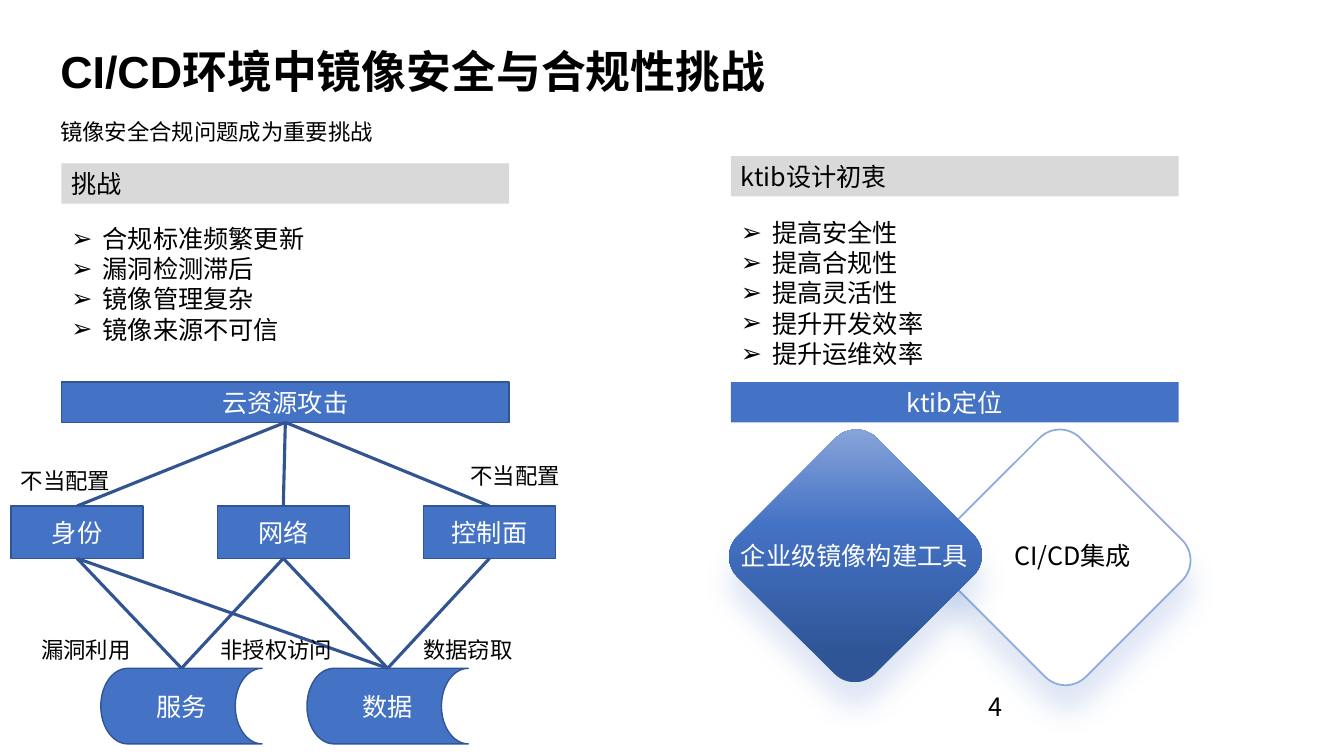
"""Build the slide on image security and compliance challenges in CI/CD."""
from lxml import etree
from pptx import Presentation
from pptx.dml.color import RGBColor
from pptx.enum.shapes import MSO_CONNECTOR, MSO_SHAPE
from pptx.enum.text import MSO_ANCHOR, PP_ALIGN
from pptx.oxml import parse_xml
from pptx.oxml.ns import qn
from pptx.util import Inches, Pt

RECTANGLE = MSO_SHAPE.RECTANGLE
DIAMOND = MSO_SHAPE.ROUNDED_RECTANGLE
STORAGE = MSO_SHAPE.FLOWCHART_STORED_DATA
STRAIGHT = MSO_CONNECTOR.STRAIGHT
MIDDLE = MSO_ANCHOR.MIDDLE
LEFT, CENTER = PP_ALIGN.LEFT, PP_ALIGN.CENTER

COLORS = {
    "black": "000000", "white": "FFFFFF", "gray": "D9D9D9", "blue": "4472C4",
    "navy": "2F5597", "link": "325491", "sky": "8FAADC",
}
CJK_FONT = "Noto Sans CJK SC"
NAMESPACE = 'xmlns:a="http://schemas.openxmlformats.org/drawingml/2006/main"'
CELL = Inches(0.1)

deck = Presentation()
deck.slide_width, deck.slide_height = Inches(13.33), Inches(7.5)
page = deck.slides.add_slide(deck.slide_layouts[6])


def write(box, lines, size=18, color="black", align=LEFT, font=CJK_FONT,
          bold=False, bullet=False, spacing=None):
    frame = box.text_frame
    frame.word_wrap, frame.vertical_anchor = True, MIDDLE
    for index, line in enumerate(lines):
        para = frame.paragraphs[0] if index == 0 else frame.add_paragraph()
        if bullet:
            properties = para._p.get_or_add_pPr()
            properties.set("marL", str(Inches(0.31)))
            properties.set("indent", str(-Inches(0.31)))
            etree.SubElement(properties, qn("a:buFont"), typeface="Arial")
            etree.SubElement(properties, qn("a:buChar"), char="➢")
        para.alignment = align
        para.line_spacing = spacing or Pt(size * 1.2)
        span = para.add_run()
        span.text = line
        for name, value in {"size": Pt(size), "bold": bold, "name": font}.items():
            setattr(span.font, name, value)
        span.font.color.rgb = RGBColor.from_string(COLORS[color])
        latin = span._r.rPr.find(qn("a:latin"))
        latin.addnext(parse_xml(f'<a:ea {NAMESPACE} typeface="{CJK_FONT}"/>'))


def draw(kind, cells, fill, line=None, weight=1):
    shape = page.shapes.add_shape(kind, *(round(CELL * cell) for cell in cells))
    shape.shadow.inherit = False
    shape.fill.solid()
    shape.fill.fore_color.rgb = RGBColor.from_string(COLORS[fill])
    if line:
        shape.line.color.rgb = RGBColor.from_string(COLORS[line])
        shape.line.width = Pt(weight)
    else:
        shape.line.fill.background()
    return shape


diamonds = [
    draw(DIAMOND, (95.4, 45.7, 20, 19.2), "white", "sky", 1.25),
    draw(DIAMOND, (75.2, 45.4, 19.3, 19.5), "blue"),
]
for diamond in diamonds:
    diamond.rotation = 45
    diamond.adjustments[0] = 0.148
    diamond._element.spPr.find(qn("a:effectLst")).append(parse_xml(
        f'<a:outerShdw {NAMESPACE} blurRad="{Pt(19)}" dist="{Pt(18)}" '
        f'dir="5400000" algn="t" rotWithShape="0"><a:srgbClr val="{COLORS["blue"]}">'
        '<a:alpha val="17000"/></a:srgbClr></a:outerShdw>'))

stops = "".join(
    f'<a:gs pos="{share * 1000}"><a:srgbClr val="{COLORS[color]}"/></a:gs>'
    for share, color in ((14, "navy"), (61, "blue"), (100, "sky")))
properties = diamonds[1]._element.spPr
properties.replace(properties.find(qn("a:solidFill")), parse_xml(
    f'<a:gradFill {NAMESPACE} rotWithShape="0"><a:gsLst>{stops}</a:gsLst>'
    '<a:lin ang="16200000" scaled="0"/></a:gradFill>'))

left, right, panel, bar = 6.1, 72.5, 44.4, 4
for column, row, heading in ((left, 16.2, "挑战"), (right, 15.5, "ktib设计初衷")):
    write(draw(RECTANGLE, (column, row, panel, bar), "gray"), [heading])

hub_row, node_row, store_row = 37.9, 50.2, 66.3
node_width, node_height, store_width = 13.1, 5.2, 16
step = 20.45
hub = (left + panel / 2, hub_row + bar)
nodes = [1.1 + step * index for index in range(3)]
stores = [10 + step * index for index in range(2)]
node_centers = [column + node_width / 2 for column in nodes]
store_centers = [column + store_width / 2 for column in stores]

blocks = [
    (RECTANGLE, (right, hub_row, panel, bar), None, "ktib定位"),
    (RECTANGLE, (left, hub_row, panel, bar), "navy", "云资源攻击"),
]
for column, name in zip(nodes, ("身份", "网络", "控制面")):
    blocks.append((RECTANGLE, (column, node_row, node_width, node_height), "navy", name))
for column, name in zip(stores, ("服务", "数据")):
    blocks.append((STORAGE, (column, store_row, store_width, 7.5), "navy", name))
for kind, cells, line, name in blocks:
    write(draw(kind, cells, "blue", line), [name], color="white", align=CENTER)

links = [(*hub, center, node_row) for center in node_centers]
for node, store in ((0, 0), (1, 0), (0, 1), (1, 1), (2, 1)):
    links.append((node_centers[node], node_row + node_height,
                  store_centers[store], store_row))
for link in links:
    connector = page.shapes.add_connector(STRAIGHT, *(round(CELL * cell) for cell in link))
    connector.line.color.rgb = RGBColor.from_string(COLORS["link"])
    connector.line.width = Pt(2.25)
    etree.SubElement(connector._element.spPr, qn("a:effectLst"))

label = {"size": 16}
texts = [
    ((5, 3.2, 120, 7.7), ["CI/CD环境中镜像安全与合规性挑战"],
     {"size": 32, "font": "Arial", "bold": True}),
    ((5, 11.7, 123.4, 3.1), ["镜像安全合规问题成为重要挑战"],
     {"size": 16, "font": "Arial", "spacing": 0.9}),
    ((left, 21.6, panel, 13.1),
     ["合规标准频繁更新", "漏洞检测滞后", "镜像管理复杂", "镜像来源不可信"],
     {"bullet": True}),
    ((right, 21, panel, 16.1),
     ["提高安全性", "提高合规性", "提高灵活性", "提升开发效率", "提升运维效率"],
     {"bullet": True}),
    ((right, 53.1, 24.8, bar), ["企业级镜像构建工具"], {"color": "white"}),
    ((99.6, 53.1, 15, bar), ["CI/CD集成"], {}),
    ((97.1, 68.3, 29.5, 3.5), ["4"], {}),
    ((45.7, 45.3, 11.7, 3.7), ["不当配置"], label),
    ((1.1, 45.8, 11.7, 3.7), ["不当配置"], label),
    ((20.9, 62.6, 13.8, 3.7), ["非授权访问"], label),
    ((3.1, 62.6, 11.5, 3.7), ["漏洞利用"], label),
    ((41, 62.6, 11.5, 3.7), ["数据窃取"], label),
]
for cells, lines, style in texts:
    box = page.shapes.add_textbox(*(round(CELL * cell) for cell in cells))
    write(box, lines, **style)

deck.save("out.pptx")
